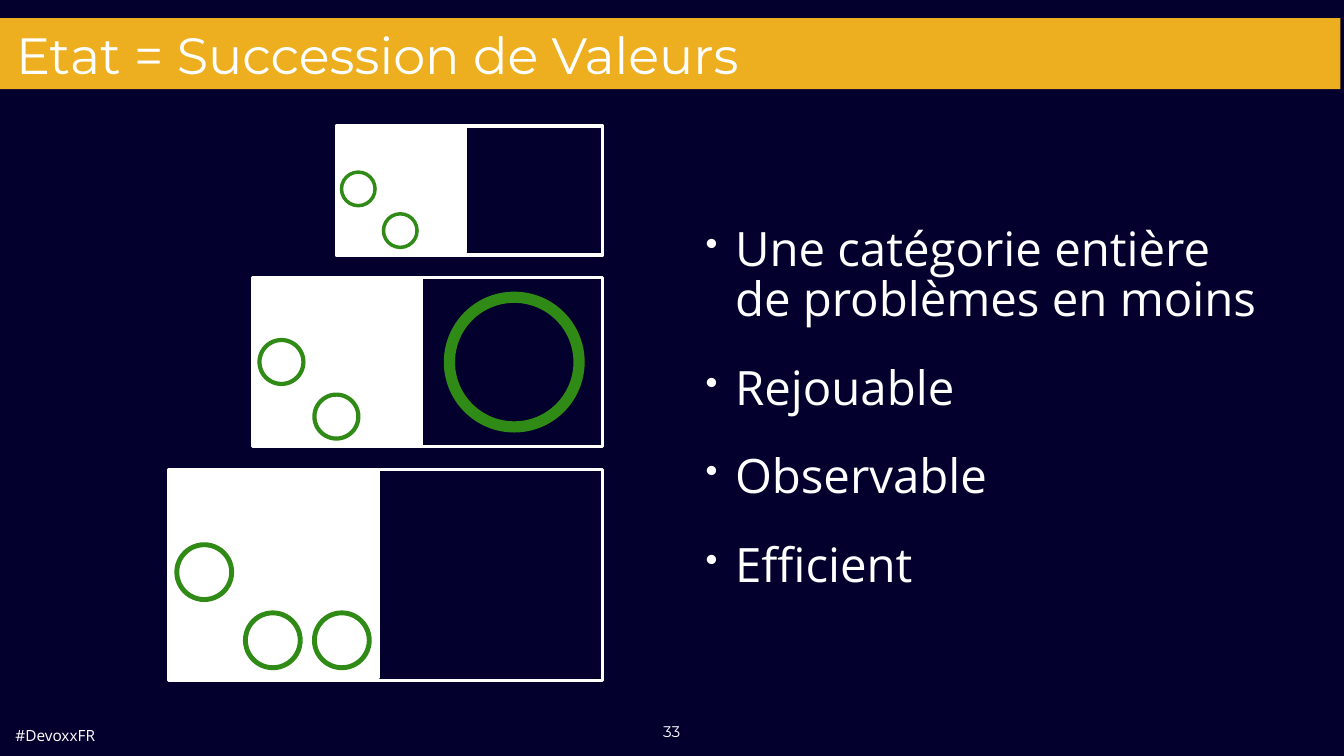
from dataclasses import dataclass

from lxml import etree
from pptx import Presentation
from pptx.dml.color import RGBColor
from pptx.enum.shapes import MSO_SHAPE as Shape
from pptx.enum.text import MSO_ANCHOR as Anchor, MSO_AUTO_SIZE as AutoSize, PP_ALIGN as Align
from pptx.oxml.ns import qn
from pptx.util import Pt


@dataclass(frozen=True)
class Theme:
    night: RGBColor = RGBColor(0x03, 0x00, 0x2E)
    gold: RGBColor = RGBColor(0xED, 0xAF, 0x1F)
    white: RGBColor = RGBColor(0xFF, 0xFF, 0xFF)
    green: RGBColor = RGBColor(0x30, 0x8B, 0x16)
    heading_font: str = "Montserrat"
    body_font: str = "Open Sans"
    title_size: float = 72.8
    body_size: float = 67.7
    footer_size: float = 22
    frame_line: float = 5


THEME = Theme()
SLIDE_W, SLIDE_H = 1920, 1080
INSET = 6

# Offsets of the small rings, as fractions of the panel height
RING_SIZE = 0.26
RING_COLUMNS = (0.04, 0.365, 0.692)
RING_ROWS = (0.357, 0.68)
LEFT_RING, MIDDLE_RING, RIGHT_RING = (0, 0), (1, 1), (2, 1)


def write_text(shape, lines, font=THEME.body_font, size=THEME.body_size, align=Align.LEFT,
               anchor=Anchor.MIDDLE, wrap=True, indent=0, bullet=None,
               space_before=0, line_spacing=1.0):
    """Fill a shape with one paragraph per line; a bullet hangs by the indent."""
    frame = shape.text_frame
    frame.auto_size = AutoSize.NONE
    frame.word_wrap = wrap
    frame.vertical_anchor = anchor
    frame.margin_left = frame.margin_right = frame.margin_top = frame.margin_bottom = Pt(INSET)
    for index, line in enumerate(lines):
        paragraph = frame.paragraphs[0] if index == 0 else frame.add_paragraph()
        paragraph.text = line
        paragraph.alignment = align
        paragraph.line_spacing = line_spacing
        paragraph.space_before = Pt(space_before if index else 0)
        properties = paragraph._p.get_or_add_pPr()
        properties.set("marL", str(Pt(indent) if bullet else 0))
        properties.set("indent", str(Pt(-indent if bullet else indent)))
        if bullet:
            etree.SubElement(properties, qn("a:buSzPct")).set("val", "75000")
            etree.SubElement(properties, qn("a:buChar")).set("char", bullet)
        paragraph.font.name = font
        paragraph.font.size = Pt(size)
        paragraph.font.color.rgb = THEME.white
        for run in paragraph.runs:
            run.font.name = font
            run.font.size = Pt(size)
            run.font.color.rgb = THEME.white


def add_text(slide, box, lines, **text_format):
    write_text(slide.shapes.add_textbox(*map(Pt, box)), lines, **text_format)


def add_outline(shapes, kind, box, color, weight, fill=None):
    shape = shapes.add_shape(kind, *map(Pt, box))
    shape.shadow.inherit = False
    shape.line.color.rgb = color
    shape.line.width = Pt(weight)
    if fill is None:
        shape.fill.background()
    else:
        shape.fill.solid()
        shape.fill.fore_color.rgb = fill


def add_title(slide, box, text):
    title = slide.shapes.title
    title.left, title.top, title.width, title.height = map(Pt, box)
    title.fill.solid()
    title.fill.fore_color.rgb = THEME.gold
    write_text(title, [text], font=THEME.heading_font, size=THEME.title_size, indent=23)


def add_state(slide, box, rings, ring_line, drop=0, big_ring=False):
    """Draw one state: a frame, its white left half and the rings it holds."""
    left, top, width, height = box
    shapes = slide.shapes.add_group_shape().shapes
    add_outline(shapes, Shape.RECTANGLE, (left, top + 2, width * 0.483, height - 6),
                THEME.white, THEME.frame_line, fill=THEME.white)
    size = height * RING_SIZE
    for column, row in rings:
        ring_box = (left + height * RING_COLUMNS[column],
                    top + height * RING_ROWS[row] + drop, size, size)
        add_outline(shapes, Shape.OVAL, ring_box, THEME.green, ring_line)
    add_outline(shapes, Shape.RECTANGLE, box, THEME.white, THEME.frame_line)
    if big_ring:
        size = height * 0.767
        add_outline(shapes, Shape.OVAL,
                    (left + width * 0.562, top + (height - size) / 2, size, size),
                    THEME.green, 16)


def add_states(slide, box):
    """Stack the states, largest at the bottom, flush with the right edge of the box."""
    left, top, width, height = box
    right = left + width
    start = [LEFT_RING, MIDDLE_RING]
    states = (
        (490.5, 620.5, 301.5, dict(rings=start + [RIGHT_RING], ring_line=7)),
        (216.5, 500, 241.5, dict(rings=start, ring_line=6, drop=3, big_ring=True)),
        (0, 380.5, 184.5, dict(rings=start, ring_line=5)),
    )
    for offset, state_width, state_height, content in states:
        add_state(slide, (right - state_width, top + offset, state_width, state_height),
                  **content)


def add_benefits(slide, box):
    benefits = ["Une catégorie entière de problèmes en moins",
                "Rejouable", "Observable", "Efficient"]
    add_text(slide, box, benefits, indent=42, bullet="•", space_before=55, line_spacing=0.88)


def add_footer(slide, box):
    left, top, width, height = box
    add_text(slide, (left + 16, top + 4.5, 131, 41), ["#DevoxxFR"], size=THEME.footer_size)
    number_width = 40
    add_text(slide, (left + (width - number_width) / 2 - 0.5, top, number_width, 38), ["33"],
             font=THEME.heading_font, size=THEME.footer_size, align=Align.CENTER,
             anchor=Anchor.TOP, wrap=False)


def main():
    deck = Presentation()
    deck.slide_width, deck.slide_height = Pt(SLIDE_W), Pt(SLIDE_H)
    slide = deck.slides.add_slide(deck.slide_layouts[5])
    slide.background.fill.solid()
    slide.background.fill.fore_color.rgb = THEME.night

    add_footer(slide, (0, 1025, SLIDE_W, 55))
    add_title(slide, (-6, 26, 1921, 101.5), "Etat = Succession de Valeurs")
    add_states(slide, (240, 180, 621, 792))
    add_benefits(slide, (1002, 237, 799, 696))
    deck.save("out.pptx")


if __name__ == "__main__":
    main()
